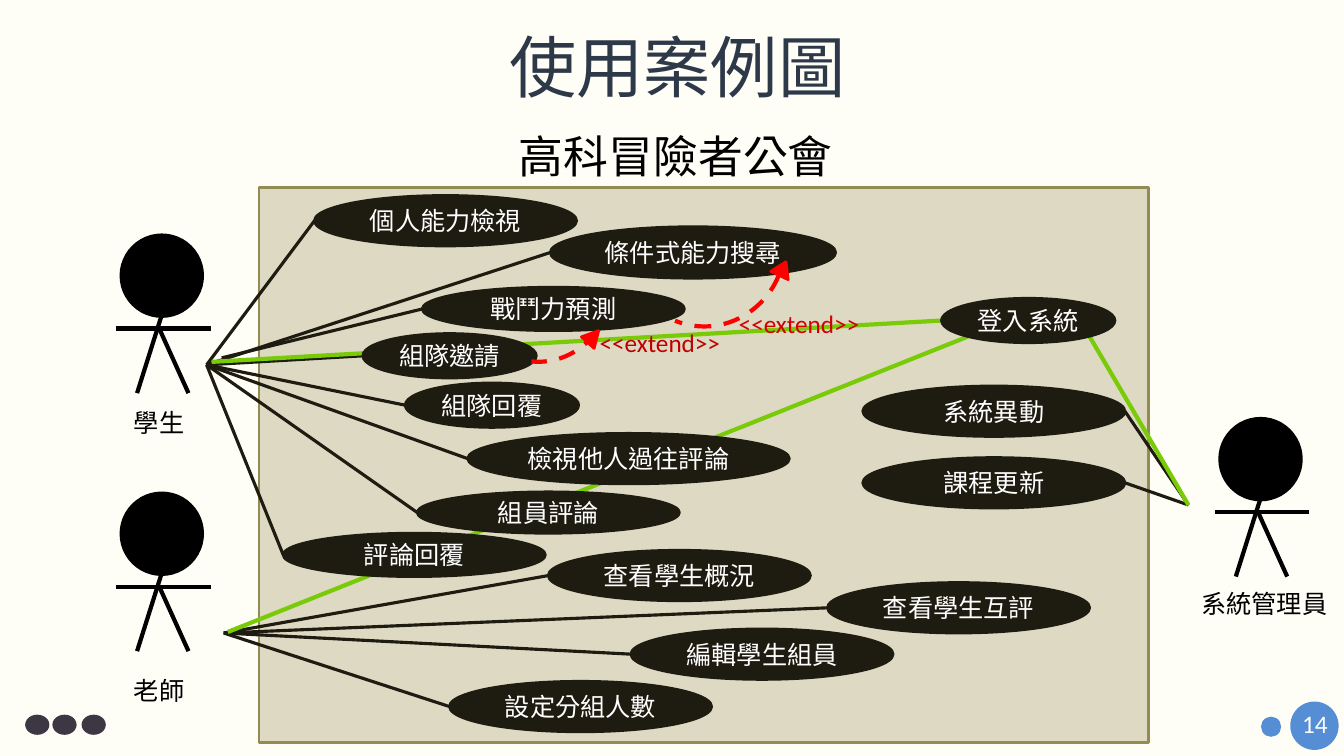
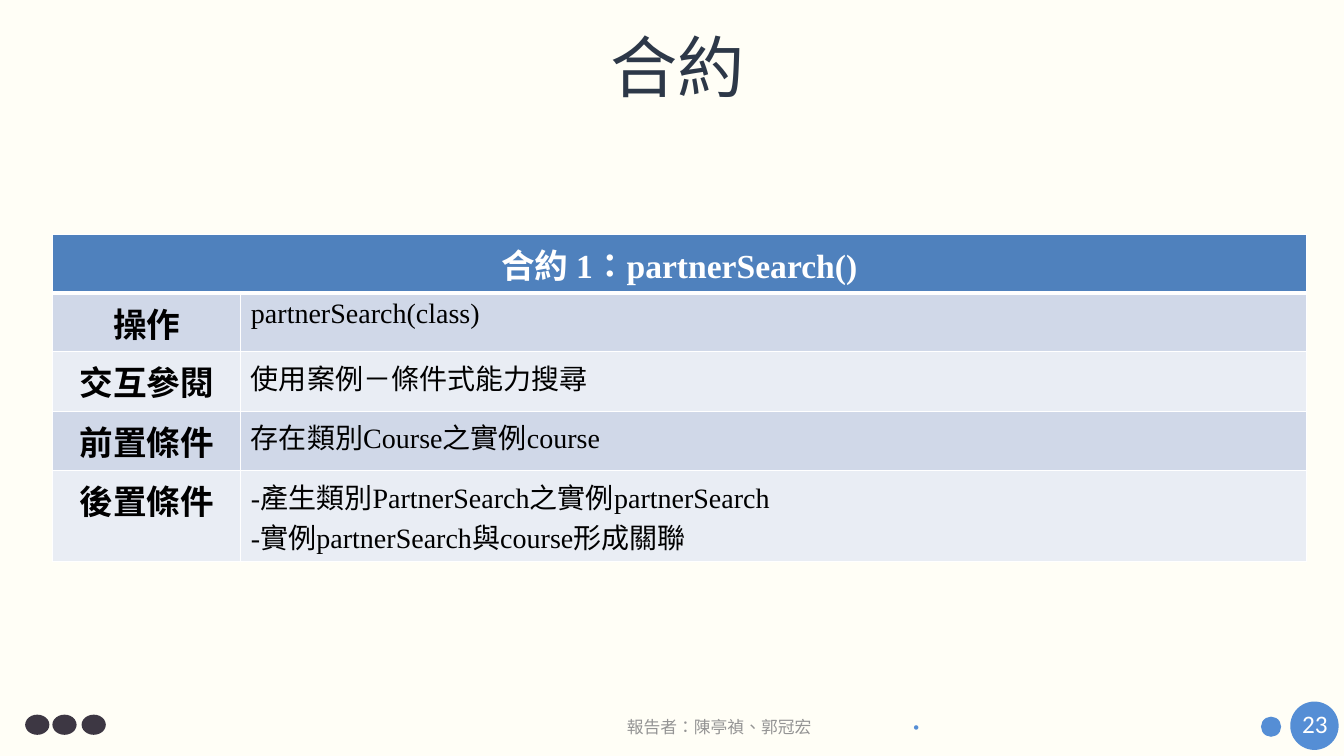
"""Build a use case slide and a contract slide."""
from dataclasses import dataclass
from typing import NamedTuple, Optional

from lxml.etree import SubElement
from pptx import Presentation
from pptx.dml.color import RGBColor
from pptx.enum.dml import MSO_LINE
from pptx.enum.shapes import MSO_CONNECTOR, MSO_SHAPE
from pptx.enum.text import MSO_ANCHOR, MSO_AUTO_SIZE, PP_ALIGN
from pptx.oxml.ns import qn
from pptx.util import Inches, Pt

OVAL, RECT = MSO_SHAPE.OVAL, MSO_SHAPE.RECTANGLE
ARC, WEDGE = MSO_SHAPE.ARC, MSO_SHAPE.ISOSCELES_TRIANGLE
STRAIGHT, DASH = MSO_CONNECTOR.STRAIGHT, MSO_LINE.DASH
LEFT, CENTER = PP_ALIGN.LEFT, PP_ALIGN.CENTER
MIDDLE, GROW = MSO_ANCHOR.MIDDLE, MSO_AUTO_SIZE.SHAPE_TO_FIT_TEXT


@dataclass(frozen=True)
class Theme:
    """Colours, fonts and type sizes."""
    paper: str = "FFFEF6"
    title: str = "2D3848"
    black: str = "000000"
    white: str = "FFFFFF"
    grey: str = "949494"
    blue: str = "558ED5"
    plum: str = "3D3743"
    ink: str = "1E1C11"
    sand: str = "DDD9C3"
    olive: str = "948A54"
    green: str = "79CB07"
    red: str = "FF0000"
    crimson: str = "C00000"
    scarlet: str = "D20000"
    head: str = "4F81BD"
    bands: tuple[str, str] = ("D0D8E8", "E9EDF4")
    cjk: str = "Noto Sans CJK SC"
    sans: str = "Calibri"
    serif: str = "Times New Roman"
    huge: int = 48
    large: int = 32
    label: int = 24
    cell: int = 20
    body: int = 18
    small: int = 12
    tiny: int = 9


T = Theme()


class Spot(NamedTuple):
    """A point in grid columns and rows."""
    x: float
    y: float


class Box(NamedTuple):
    """A frame in grid columns and rows."""
    x: float
    y: float
    w: float
    h: float


class Case(NamedTuple):
    """A use case and the spot its link starts from."""
    text: str
    box: Box
    start: Optional[Spot] = None


class Actor(NamedTuple):
    """A stick figure with its label."""
    text: str
    head: Spot
    label: Box


class Curve(NamedTuple):
    """A dashed arc, in degrees, with its arrowhead and note."""
    box: Box
    angles: tuple[float, float]
    tip: Box
    turn: float
    note: Box
    tint: str


PUPIL, TUTOR, ADMIN = Spot(20.5, 36.2), Spot(22.2, 62.8), Spot(117.9, 50.1)
CASES = [
    Case("個人能力檢視", Box(31.2, 19.4, 26, 5), PUPIL),
    Case("戰鬥力預測", Box(41.9, 28.5, 26, 4.3), Spot(22, 35.5)),
    Case("條件式能力搜尋", Box(54.6, 22.5, 28.3, 5.1), PUPIL),
    Case("組隊邀請", Box(36, 33.1, 17.2, 4.4), PUPIL),
    Case("組隊回覆", Box(40.2, 38, 17.2, 4.4), PUPIL),
    Case("檢視他人過往評論", Box(46.4, 43, 31.9, 5), PUPIL),
    Case("組員評論", Box(41.4, 48.8, 26, 4.1), PUPIL),
    Case("評論回覆", Box(28.1, 52.9, 26, 4.3), PUPIL),
    Case("查看學生概況", Box(54.4, 54.6, 26, 5), TUTOR),
    Case("查看學生互評", Box(82.1, 57.8, 26, 5), TUTOR),
    Case("編輯學生組員", Box(62.6, 62.4, 26, 5), TUTOR),
    Case("設定分組人數", Box(44.6, 67.6, 26, 5), TUTOR),
    Case("系統異動", Box(85.6, 38.3, 26, 5), ADMIN),
    Case("課程更新", Box(85.6, 45.4, 26, 5), ADMIN),
    Case("登入系統", Box(93.4, 29.6, 17.2, 4.4)),
]
LOGINS = [
    (ADMIN, Spot(108.1, 33.4)),
    (Spot(22.6, 62.7), Spot(96, 33.4)),
    (Spot(21, 35.9), Spot(93.4, 31.8)),
]
ACTORS = [
    Actor("學生", Spot(12, 23.3), Box(12.3, 39.9, 7.1, 4)),
    Actor("老師", Spot(12, 48.9), Box(12.3, 66.5, 7.1, 4)),
    Actor("系統管理員", Spot(121, 41.5), Box(118.2, 57.9, 14.6, 4)),
]
LIMBS = [
    (Spot(-0.5, 9.3), Spot(8.9, 9.3)),
    (Spot(4, 8.1), Spot(1.6, 15.7)),
    (Spot(3.8, 9.3), Spot(6.7, 15.7)),
]
CURVES = [
    Curve(Box(61.7, 16.2, 16.5, 15.9), (285.54, 12.93),
          Box(76.7, 25.9, 1.9, 1.5), 25.4, Box(72.3, 30.1, 14.1, 4), T.scarlet),
    Curve(Box(46.1, 21.4, 14.8, 14.2), (299.94, 357.79),
          Box(58, 32.6, 1.7, 1.6), 42.2, Box(58.5, 32, 14.1, 4), T.crimson),
]
TERMS = [
    ("操作", ["partnerSearch(class)"], 5.8),
    ("交互參閱", ["使用案例－條件式能力搜尋"], 5.9),
    ("前置條件", ["存在類別Course之實例course"], 5.9),
    ("後置條件", ["-產生類別PartnerSearch之實例partnerSearch",
              "-實例partnerSearch與course形成關聯"], 9),
]


def grid(*cells: float) -> list[int]:
    """Turn grid counts of a tenth of an inch into lengths."""
    return [Inches(cell / 10) for cell in cells]


def tone(code: str) -> RGBColor:
    """Read a colour code."""
    return RGBColor.from_string(code)


def write(frame, lines: list[str], size: int, tint: str, face: str = T.cjk,
          align=LEFT, bold: bool = False) -> None:
    """Fill a text frame with evenly styled paragraphs."""
    frame.text = "\n".join(lines)
    for para in frame.paragraphs:
        para.alignment = align
        font = para.font
        font.size, font.bold, font.name = Pt(size), bold, face
        font.color.rgb = tone(tint)
        style = para._p.pPr.find(qn("a:defRPr"))
        style.set("lang", "zh-TW")
        SubElement(style, qn("a:ea")).set("typeface", T.cjk)


def note(slide, box: Box, text: str, size: int = T.body, tint: str = T.black,
         face: str = T.cjk, align=LEFT) -> None:
    """Add a one-line text box."""
    frame = slide.shapes.add_textbox(*grid(*box)).text_frame
    frame.word_wrap, frame.auto_size = False, GROW
    write(frame, [text], size, tint, face, align)


def draw(slide, kind, box: Box, fill: Optional[str], edge: Optional[str] = None,
         width: float = 2):
    """Add a flat preset shape."""
    shape = slide.shapes.add_shape(kind, *grid(*box))
    shape.shadow.inherit = False
    if fill:
        shape.fill.solid()
        shape.fill.fore_color.rgb = tone(fill)
    else:
        shape.fill.background()
    if edge:
        shape.line.color.rgb = tone(edge)
        shape.line.width = Pt(width)
    else:
        shape.line.fill.background()
    return shape


def link(slide, start: Spot, end: Spot, tint: str, width: float) -> None:
    """Add a straight line without a shadow."""
    line = slide.shapes.add_connector(STRAIGHT, *grid(*start, *end))
    line.line.color.rgb = tone(tint)
    line.line.width = Pt(width)
    SubElement(line._element.spPr, qn("a:effectLst"))


def person(slide, actor: Actor) -> None:
    """Draw a stick figure and its label."""
    x, y = actor.head
    draw(slide, OVAL, Box(x, y, 8.1, 8.1), T.black, T.black)
    for start, end in LIMBS:
        link(slide, Spot(x + start.x, y + start.y),
             Spot(x + end.x, y + end.y), T.black, 3)
    note(slide, actor.label, actor.text)


def join(slide, case: Case) -> None:
    """Link a use case at the side that faces its start."""
    if case.start:
        box = case.box
        side = box.x if case.start.x < box.x else box.x + box.w
        link(slide, case.start, Spot(side, box.y + box.h / 2), T.ink, 2.25)


def bubble(slide, case: Case) -> None:
    """Draw a use case oval."""
    frame = draw(slide, OVAL, case.box, T.ink, T.ink).text_frame
    frame.word_wrap, frame.vertical_anchor = False, MIDDLE
    write(frame, [case.text], T.body, T.white, align=CENTER)


def sweep(slide, curve: Curve) -> None:
    """Draw a dashed arc."""
    arc = draw(slide, ARC, curve.box, None, T.red, 3)
    for index, angle in enumerate(curve.angles):
        arc.adjustments[index] = angle * 0.6
    arc.rotation, arc.line.dash_style = 98.3, DASH


def point(slide, curve: Curve) -> None:
    """Draw the arrowhead and note of an arc."""
    draw(slide, WEDGE, curve.tip, T.red, T.red).rotation = curve.turn
    note(slide, curve.note, "<<extend>>", tint=curve.tint, face=T.sans)


def start_page(deck, title: str, number: int):
    """Add a slide with the shared title, dots and page number."""
    slide = deck.slides.add_slide(deck.slide_layouts[5])
    head = slide.shapes.title
    head.left, head.top, head.width, head.height = grid(20.5, 1.8, 93.4, 10.5)
    write(head.text_frame, [title], T.huge, T.title, align=CENTER)
    head.text_frame.paragraphs[0].line_spacing = 0.9
    for x in (2.5, 5.2, 8.1):
        draw(slide, OVAL, Box(x, 70.9, 2.4, 2), T.plum)
    draw(slide, OVAL, Box(125.1, 71.1, 2, 2), T.blue)
    draw(slide, OVAL, Box(128, 69.6, 4.8, 4.8), T.blue)
    note(slide, Box(128.2, 69.8, 4.6, 4), str(number), tint=T.white, face=T.sans)
    return slide


def use_page(deck) -> None:
    """Build the use case diagram."""
    slide = start_page(deck, "使用案例圖", 14)
    note(slide, Box(50.5, 12.3, 33.4, 6.4), "高科冒險者公會", T.large)
    draw(slide, RECT, Box(25.7, 18.6, 88.2, 55.1), T.sand, T.olive)
    for actor in ACTORS:
        person(slide, actor)
    for case in CASES:
        join(slide, case)
    for start, end in LOGINS:
        link(slide, start, end, T.green, 3)
    far, near = CURVES
    sweep(slide, far)
    for case in CASES:
        bubble(slide, case)
    sweep(slide, near)
    for curve in CURVES:
        point(slide, curve)


def coat(cell, fill: str, top: float = 1, base: float = 1) -> None:
    """Give a cell white borders and a flat fill."""
    props = cell._tc.get_or_add_tcPr()
    for side, width in (("L", 1), ("R", 1), ("T", top), ("B", base)):
        edge = SubElement(props, qn(f"a:ln{side}"), w=str(Pt(width)))
        paint = SubElement(edge, qn("a:solidFill"))
        SubElement(paint, qn("a:srgbClr"), val=T.white)
    cell.fill.solid()
    cell.fill.fore_color.rgb = tone(fill)


def term_page(deck) -> None:
    """Build the contract table."""
    slide = start_page(deck, "合約", 23)
    note(slide, Box(61.1, 70.6, 20.5, 3), "報告者：陳亭禎、郭冠宏", T.small, T.grey,
         align=CENTER)
    note(slide, Box(89.6, 70.8, 2.7, 2.5), "•", T.tiny, T.blue, T.sans)
    table = slide.shapes.add_table(
        len(TERMS) + 1, 2, *grid(5.2, 23.3, 124.4, 32.4)).table
    table.first_row = table.horz_banding = False
    table.columns[0].width, table.columns[1].width = grid(18.7, 105.7)
    table.rows[0].height, = grid(5.8)
    top = table.cell(0, 0)
    top.merge(table.cell(0, 1))
    write(top.text_frame, ["合約 1：partnerSearch()"], T.label, T.white,
          T.serif, CENTER, True)
    for col in range(2):
        coat(table.cell(0, col), T.head, base=3)
    for row, (name, lines, height) in enumerate(TERMS, 1):
        table.rows[row].height, = grid(height)
        label, value = table.cell(row, 0), table.cell(row, 1)
        write(label.text_frame, [name], T.label, T.black, T.serif, CENTER, True)
        write(value.text_frame, lines, T.cell, T.black, T.serif)
        for cell in (label, value):
            coat(cell, T.bands[(row - 1) % 2], top=3 if row == 1 else 1)


def main() -> None:
    """Build and save the deck."""
    deck = Presentation()
    deck.slide_width, deck.slide_height = grid(133.33, 75)
    back = deck.slide_master.background.fill
    back.solid()
    back.fore_color.rgb = tone(T.paper)
    use_page(deck)
    term_page(deck)
    deck.save("out.pptx")


if __name__ == "__main__":
    main()
